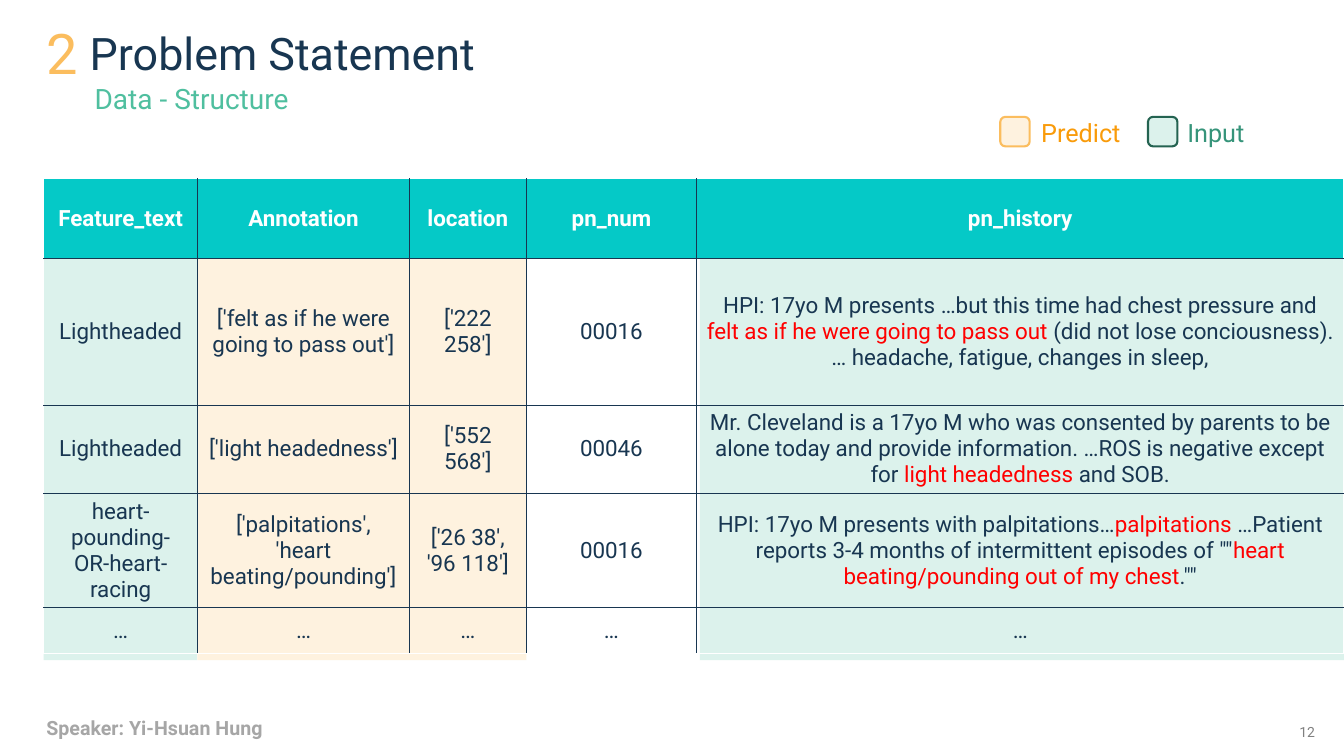
from lxml.etree import SubElement
from pptx import Presentation
from pptx.dml.color import RGBColor
from pptx.enum.shapes import MSO_SHAPE
from pptx.enum.text import MSO_ANCHOR, PP_ALIGN
from pptx.oxml.ns import qn
from pptx.util import Pt

NAVY, RED, WHITE = "183651", "FF0000", "FFFFFF"
TEAL, MINT, CREAM = "05C9C7", "DCF2EC", "FEF2DF"


def rgb(hex_color):
    return RGBColor.from_string(hex_color)


def add_text(tf, runs, size, bold=False, align=PP_ALIGN.LEFT, spacing=None):
    p = tf.paragraphs[0]
    p.alignment = align
    if spacing:
        p.line_spacing = spacing
    for text, color in runs:
        r = p.add_run()
        r.text = text
        r.font.name = "Roboto"
        r.font.size = Pt(size)
        r.font.bold = bold
        r.font.color.rgb = rgb(color)


prs = Presentation()
prs.slide_width, prs.slide_height = Pt(960), Pt(540)
s = prs.slides.add_slide(prs.slide_layouts[6])

# Column tints behind the table, then the legend swatches
shapes = [
    (MSO_SHAPE.RECTANGLE, 31.2, 185, 109.5, 286.5, MINT, None),
    (MSO_SHAPE.RECTANGLE, 500, 185, 460, 286.5, MINT, None),
    (MSO_SHAPE.RECTANGLE, 141, 185, 235, 286.5, CREAM, None),
    (MSO_SHAPE.ROUNDED_RECTANGLE, 714.5, 83.5, 21, 21, CREAM, "FBBD5E"),
    (MSO_SHAPE.ROUNDED_RECTANGLE, 820, 83.5, 21, 21, MINT, "246351"),
]
for kind, x, y, w, h, fill, line in shapes:
    sp = s.shapes.add_shape(kind, Pt(x), Pt(y), Pt(w), Pt(h))
    sp.shadow.inherit = False
    sp.fill.solid()
    sp.fill.fore_color.rgb = rgb(fill)
    if line:
        sp.line.color.rgb = rgb(line)
        sp.line.width = Pt(1.5)
    else:
        sp.line.fill.background()

# Table content: a cell is a list of (text, colour) runs
headers = ["Feature_text", "Annotation", "location", "pn_num", "pn_history"]
records = [
    ["Lightheaded", "['felt as if he were going to pass out']", "['222 258']", "00016",
     [("HPI: 17yo M presents …but this time had chest pressure and ", NAVY),
      ("felt as if he were going to pass out ", RED),
      ("(did not lose conciousness). … headache, fatigue, changes in sleep,", NAVY)]],
    ["Lightheaded", "['light headedness']", "['552 568']", "00046",
     [("Mr. Cleveland is a 17yo M who was consented by parents to be alone today "
       "and provide information. …ROS is negative except for ", NAVY),
      ("light headedness ", RED),
      ("and SOB.", NAVY)]],
    ["heart-pounding-OR-heart-racing", "['palpitations', 'heart beating/pounding']",
     "['26 38', '96 118']", "00016",
     [("HPI: 17yo M presents with palpitations…", NAVY),
      ("palpitations", RED),
      (' …Patient reports 3-4 months of intermittent episodes of ""', NAVY),
      ("heart beating/pounding out of my chest", RED),
      ('.""', NAVY)]],
    ["…"] * 5,
]
col_widths = [110, 151.2, 83.6, 121.6, 462.4]
row_heights = [56.8, 105, 57, 81.5, 33]

# Table
rows = [headers] + records
last_row, last_col = len(rows) - 1, len(headers) - 1
table = s.shapes.add_table(len(rows), len(headers), Pt(31.2), Pt(127.6),
                           Pt(sum(col_widths)), Pt(sum(row_heights))).table
table.first_row = table.horz_banding = False
for column, width in zip(table.columns, col_widths):
    column.width = Pt(width)
for row, height in zip(table.rows, row_heights):
    row.height = Pt(height)

for i, row in enumerate(rows):
    for j, content in enumerate(row):
        cell = table.cell(i, j)
        cell.vertical_anchor = MSO_ANCHOR.MIDDLE
        if isinstance(content, str):
            content = [(content, NAVY if i else WHITE)]
        add_text(cell.text_frame, content, 16, i == 0, PP_ALIGN.CENTER)

        # White on the outer edge, navy inside
        outer = {"a:lnL": j == 0, "a:lnR": j == last_col,
                 "a:lnT": i == 0, "a:lnB": i == last_row}
        tcPr = cell._tc.get_or_add_tcPr()
        for tag, is_outer in outer.items():
            ln = SubElement(tcPr, qn(tag), w=str(Pt(1)))
            fill = SubElement(ln, qn("a:solidFill"))
            SubElement(fill, qn("a:srgbClr"), val=WHITE if is_outer else NAVY)

        if i == 0:
            cell.fill.solid()
            cell.fill.fore_color.rgb = rgb(TEAL)
        else:
            cell.fill.background()

# Titles, legend labels, footer
TOP, MIDDLE = MSO_ANCHOR.TOP, MSO_ANCHOR.MIDDLE
LEFT, RIGHT = PP_ALIGN.LEFT, PP_ALIGN.RIGHT
labels = [
    ("12", 921, 513.4, 31, 15, 10, "808080", False, LEFT, TOP, None),
    ("Predict", 736.6, 80, 73, 29, 18, "F99B0A", False, LEFT, TOP, None),
    ("Input", 841, 80, 56, 29, 18, "36947A", False, LEFT, TOP, None),
    ("Data - Structure", 60.5, 59, 407, 28, 20, "4FBF9F", False, LEFT, TOP, 0.8),
    ("Problem Statement", 57, 18.7, 410, 42.5, 32, NAVY, False, LEFT, MIDDLE, 0.9),
    ("2", 26, 18.7, 36, 42.5, 40, "FBBD5E", False, RIGHT, MIDDLE, 0.9),
    ("Speaker: Yi-Hsuan Hung", 26, 494.6, 207, 33, 14, "A6A6A6", True, LEFT, TOP, 1.8),
]
for text, x, y, w, h, size, color, bold, align, anchor, spacing in labels:
    tf = s.shapes.add_textbox(Pt(x), Pt(y), Pt(w), Pt(h)).text_frame
    tf.word_wrap = text not in ("Predict", "Input")
    tf.vertical_anchor = anchor
    add_text(tf, [(text, color)], size, bold, align, spacing)

prs.save("out.pptx")
